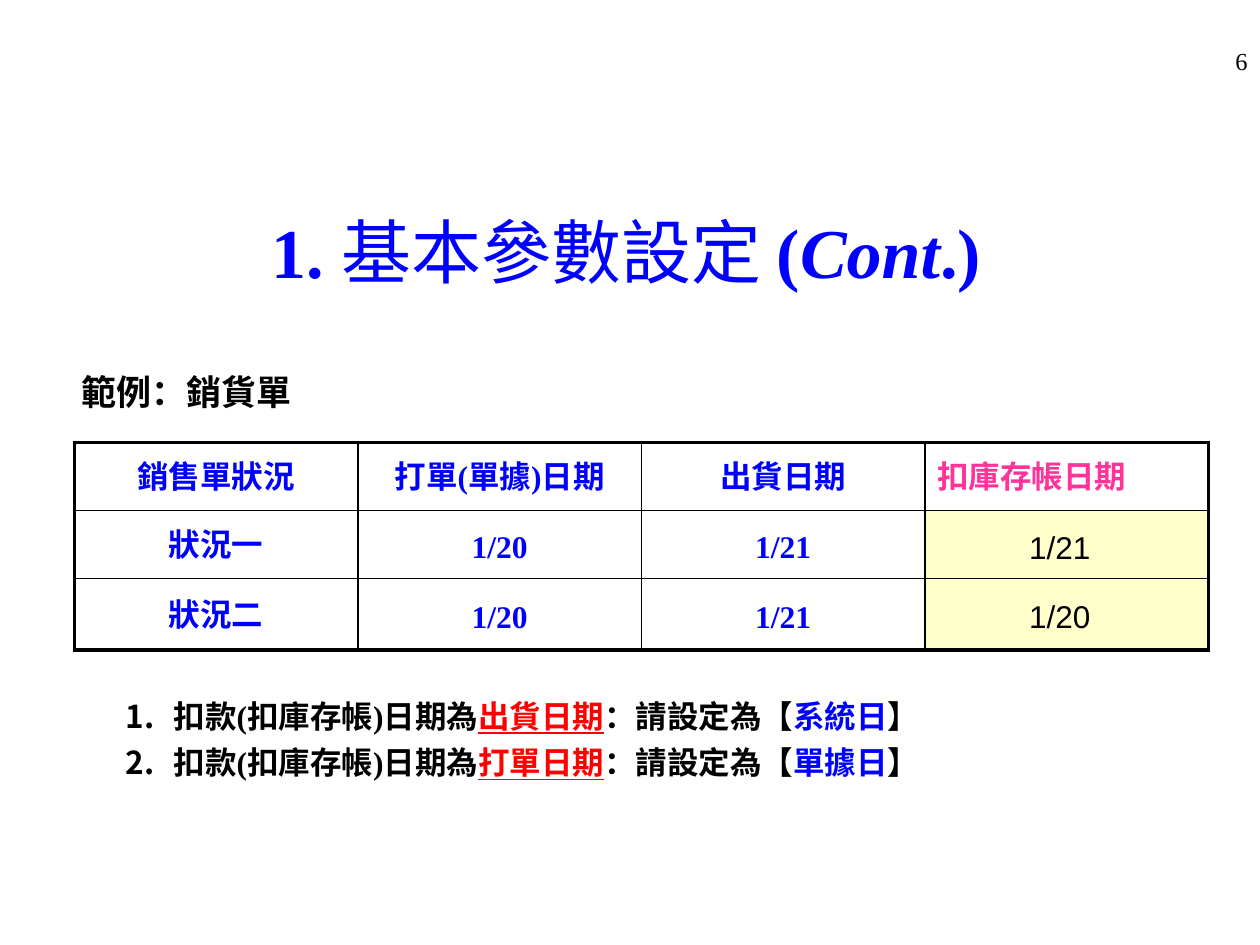
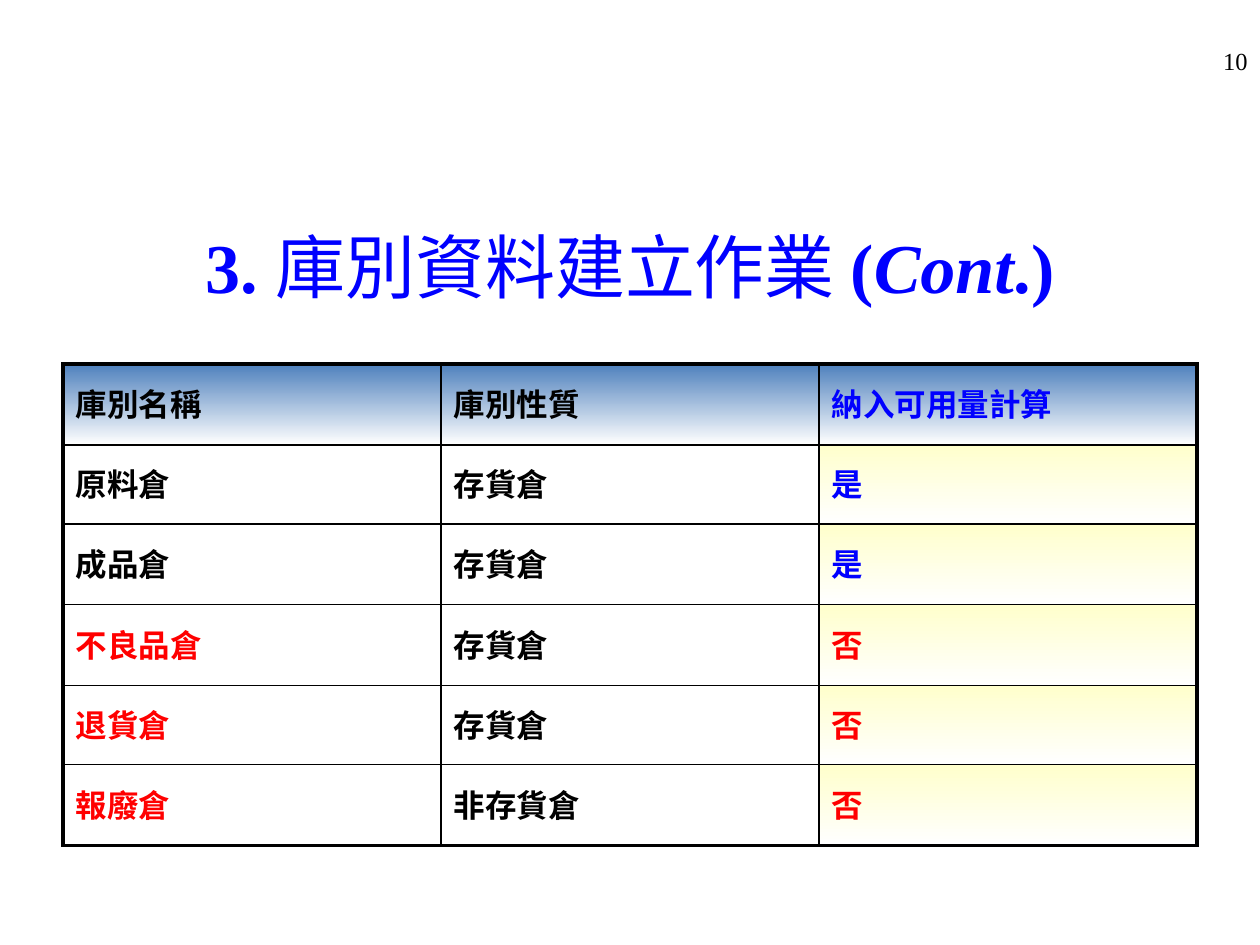
import pptx
import pptx.util
import pptx.oxml
import pptx.oxml.ns
import pptx.dml.color
import pptx.enum.text
import pptx.enum.shapes
from lxml import etree

Inches = pptx.util.Inches
Pt = pptx.util.Pt
RGBColor = pptx.dml.color.RGBColor
ALIGN = pptx.enum.text.PP_ALIGN
ANCHOR = pptx.enum.text.MSO_ANCHOR
qn = pptx.oxml.ns.qn

BLACK = RGBColor(0x00, 0x00, 0x00)
WHITE = RGBColor(0xFF, 0xFF, 0xFF)
BLUE = RGBColor(0x00, 0x00, 0xFF)
RED = RGBColor(0xFF, 0x00, 0x00)
PINK = RGBColor(0xFF, 0x33, 0x99)
CREAM = RGBColor(0xFF, 0xFF, 0xCC)
STEEL = RGBColor(0x4F, 0x81, 0xBD)

SERIF = "Times New Roman"
SANS = "Arial"
CJK = "Noto Sans CJK SC"
OUTER, INNER = 2.25, 1

SALES = {
    "number": "6",
    "title": ("1. ", "基本參數設定 "),
    "title_at": (0.47, 1.48, 9, 1.01),
    "table_at": (0.59, 3.51, 9),
    "row_heights": (0.54, 0.54, 0.57),
    "rows": [
        ["銷售單狀況", "打單(單據)日期", "出貨日期", "扣庫存帳日期"],
        ["狀況一", "1/20", "1/21", ""],
        ["狀況二", "1/20", "1/21", ""],
    ],
}
WAREHOUSES = {
    "number": "10",
    "title": ("3. ", "庫別資料建立作業 "),
    "title_at": (0.75, 1.3, 8.5, 1.61),
    "table_at": (0.5, 2.89, 9),
    "row_heights": (0.64, 0.63, 0.64, 0.64, 0.63, 0.64),
    "rows": [
        ["庫別名稱", "庫別性質", "納入可用量計算"],
        ["原料倉", "存貨倉", "是"],
        ["成品倉", "存貨倉", "是"],
        ["不良品倉", "存貨倉", "否"],
        ["退貨倉", "存貨倉", "否"],
        ["報廢倉", "非存貨倉", "否"],
    ],
}
EXAMPLE = "範例：銷貨單"
STOCK_DATES = [
    ("1/21", (8.07, 4.14, 1.02, 0.4), None),
    ("1/20", (8.07, 4.69, 0.94, 0.4), CREAM),
]
RULES = [("出貨日期", "系統日"), ("打單日期", "單據日")]


def add_span(para, text, size=18, color=BLACK, font=SERIF, bold=True, italic=False, underline=False):
    span = para.add_run()
    span.text = text
    span.font.size = Pt(size)
    span.font.bold = bold
    span.font.italic = italic
    span.font.underline = underline
    span.font.color.rgb = color
    span.font.name = font
    etree.SubElement(span.font._element, qn("a:ea"), typeface=CJK)


def add_box(page, at, fill=None, anchor=ANCHOR.TOP):
    place = [Inches(value) for value in at]
    if fill is None:
        box = page.shapes.add_textbox(*place)
    else:
        box = page.shapes.add_shape(pptx.enum.shapes.MSO_SHAPE.RECTANGLE, *place)
        box.shadow.inherit = False
        box.fill.solid()
        box.fill.fore_color.rgb = fill
        box.line.fill.background()
    box.text_frame.word_wrap = True
    box.text_frame.vertical_anchor = anchor
    para = box.text_frame.paragraphs[0]
    para.alignment = ALIGN.LEFT
    return box.text_frame, para


def start_page(deck, content):
    page = deck.slides.add_slide(deck.slide_layouts[5])
    title = page.shapes.title
    title.left, title.top, title.width, title.height = map(Inches, content["title_at"])
    frame = title.text_frame
    frame.auto_size = pptx.enum.text.MSO_AUTO_SIZE.NONE
    frame.vertical_anchor = ANCHOR.MIDDLE
    para = frame.paragraphs[0]
    para.alignment = ALIGN.CENTER
    index, heading = content["title"]
    for text, bold, italic in [(index, True, False), (heading, False, False),
                               ("(", True, False), ("Cont", True, True), (".)", True, False)]:
        add_span(para, text, 40, BLUE, bold=bold, italic=italic)
    frame, para = add_box(page, (7.67, 0.28, 2.33, 0.4), anchor=ANCHOR.MIDDLE)
    para.alignment = ALIGN.RIGHT
    add_span(para, content["number"], 14, bold=False)
    return page


def set_border(cell, side, width):
    line = etree.SubElement(cell._tc.get_or_add_tcPr(), qn("a:" + side), w=str(Pt(width)))
    fill = etree.SubElement(line, qn("a:solidFill"))
    etree.SubElement(fill, qn("a:srgbClr"), val=str(BLACK))


def fill_cell(cell, color, fade):
    if not fade:
        cell.fill.solid()
        cell.fill.fore_color.rgb = color
        return
    cell.fill.gradient()
    cell.fill.gradient_angle = 270
    for stop, shade, position in zip(cell.fill.gradient_stops, (color, WHITE), (0, 1)):
        stop.color.rgb = shade
        stop.position = position


def add_grid(page, content, style):
    rows = content["rows"]
    heights = content["row_heights"]
    left, top, width = content["table_at"]
    last_row, last_column = len(rows) - 1, len(rows[0]) - 1
    grid = page.shapes.add_table(len(rows), len(rows[0]), Inches(left), Inches(top),
                                 Inches(width), Inches(sum(heights))).table
    grid.first_row = grid.horz_banding = False
    for column in grid.columns:
        column.width = Inches(width / len(rows[0]))
    for r, texts in enumerate(rows):
        grid.rows[r].height = Inches(heights[r])
        for c, text in enumerate(texts):
            cell = grid.cell(r, c)
            cell.vertical_anchor = ANCHOR.MIDDLE
            edges = {"lnL": c == 0, "lnR": c == last_column, "lnT": r == 0, "lnB": r == last_row}
            for side, outside in edges.items():
                set_border(cell, side, OUTER if outside else INNER)
            color, align, fill, fade = style(r, c, texts)
            fill_cell(cell, fill, fade)
            if text:
                para = cell.text_frame.paragraphs[0]
                para.alignment = align
                para.line_spacing = Pt(24)
                para.space_before = Pt(12)
                add_span(para, text, color=color)


def sales_style(r, c, texts):
    if c < 3:
        return BLUE, ALIGN.CENTER, WHITE, False
    return PINK, ALIGN.LEFT, WHITE if r == 0 else CREAM, False


def warehouse_style(r, c, texts):
    if r == 0:
        return BLUE if c == 2 else BLACK, ALIGN.LEFT, STEEL, True
    excluded = texts[2] == "否"
    color = (RED if excluded else BLACK, BLACK, RED if excluded else BLUE)[c]
    return color, ALIGN.LEFT, CREAM if c == 2 else WHITE, c == 2


def number_para(para):
    para.space_before = Pt(5)
    props = para._p.get_or_add_pPr()
    props.set("marL", str(Inches(0.38)))
    props.set("indent", str(-Inches(0.38)))
    etree.SubElement(props, qn("a:buFont"), typeface=CJK)
    etree.SubElement(props, qn("a:buAutoNum"), type="arabicPeriod")


def add_rules(page):
    frame, para = add_box(page, (0.9, 5.48, 7.17, 0.85))
    for i, (date, setting) in enumerate(RULES):
        if i:
            para = frame.add_paragraph()
        number_para(para)
        add_span(para, "扣款(扣庫存帳)日期為")
        add_span(para, date, color=RED, underline=True)
        add_span(para, "：請設定為【")
        add_span(para, setting, color=BLUE)
        add_span(para, "】")


def main():
    deck = pptx.Presentation()
    deck.slide_width, deck.slide_height = Inches(10), Inches(7.5)

    page = start_page(deck, SALES)
    add_grid(page, SALES, sales_style)
    for text, at, fill in STOCK_DATES:
        frame, para = add_box(page, at, fill)
        add_span(para, text, font=SANS, bold=False)
    add_rules(page)
    frame, para = add_box(page, (0.55, 2.89, 1.95, 0.44))
    add_span(para, EXAMPLE, 20, font=CJK)

    page = start_page(deck, WAREHOUSES)
    add_grid(page, WAREHOUSES, warehouse_style)
    deck.save("out.pptx")


if __name__ == "__main__":
    main()
